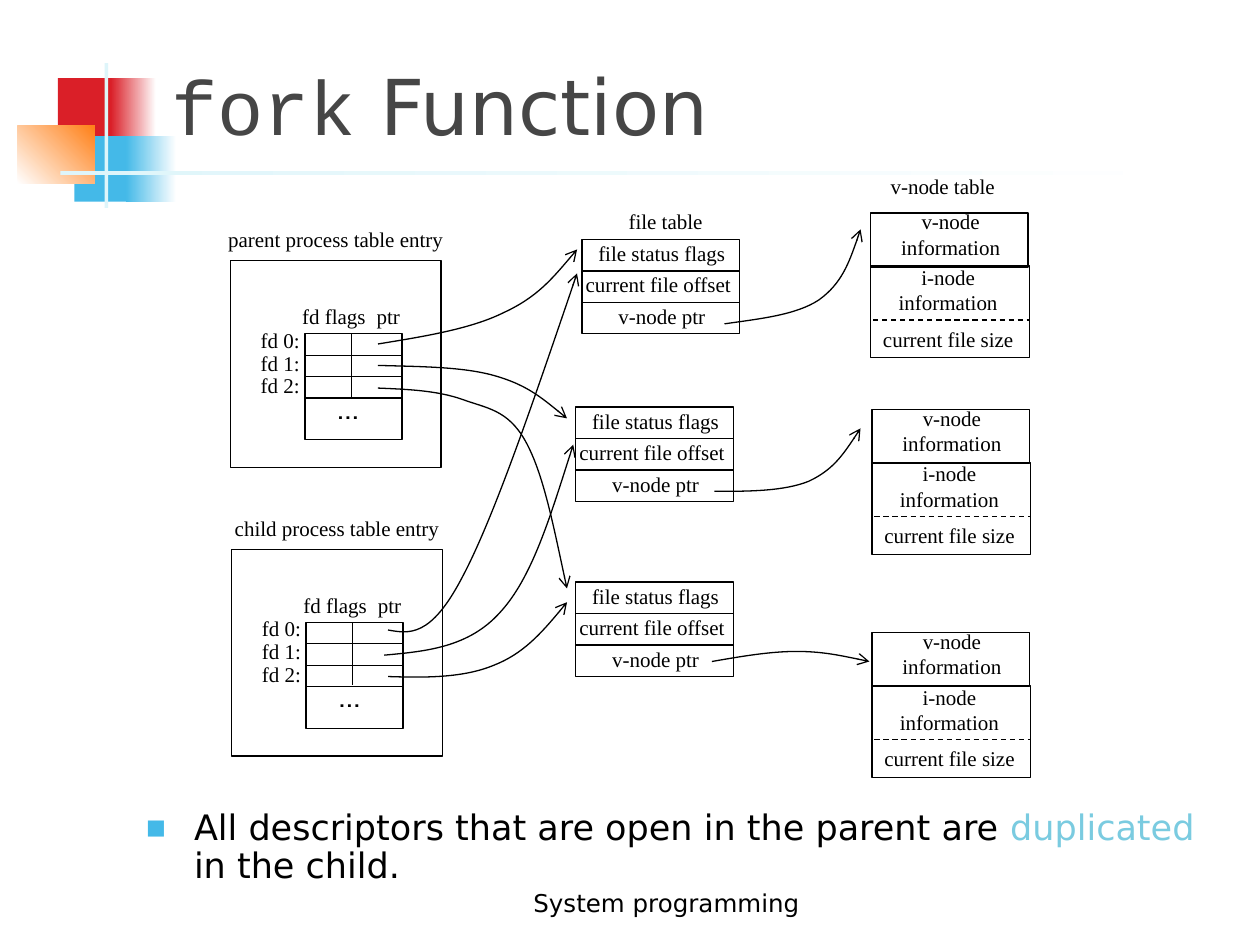
from lxml.etree import SubElement
from pptx import Presentation
from pptx.dml.color import RGBColor
from pptx.enum.dml import MSO_LINE
from pptx.enum.shapes import MSO_CONNECTOR, MSO_SHAPE
from pptx.enum.text import MSO_ANCHOR, MSO_AUTO_SIZE, PP_ALIGN
from pptx.oxml.ns import qn
from pptx.util import Pt

SCALE = 9144
ROW_HEIGHT = 25
SERIF = "Times New Roman"
SANS = "DejaVu Sans"

DECORATION = [
    (46, 62, 48, 52, ["DA1F28"], 0),
    (88, 62, 36, 52, ["DA1F28", "FFFFFF"], 0),
    (59, 108, 46, 52, ["44B9E8"], 0),
    (100, 108, 40, 52, ["44B9E8", "FFFFFF"], 0),
    (14, 100, 61, 46, ["FFFFFF", "FF8119"], 45),
    (83, 50, 3, 115, ["DEF5FA"], 0),
    (48, 136, 900, 3, ["DEF5FA", "FFFFFF"], 0),
]
PROCESSES = [(183, 207, "parent process table entry"), (184, 436, "child process table entry")]
FILE_TABLES = [(462, 190), (457, 323), (457, 462)]
VNODES = [(691, 169), (692, 325), (692, 502)]
POINTERS = [
    [(300, 273), (337, 267), (374, 261), (400, 248), (426, 236), (442, 217), (458, 198)],
    [(300, 290), (333, 291), (367, 291), (392, 298), (417, 305), (433, 318), (450, 332)],
    [(300, 308), (324, 309), (347, 310), (367, 317), (386, 324), (403, 325), (417, 350),
     (431, 375), (440, 421), (450, 467)],
    [(308, 500), (325, 503), (342, 506), (367, 458), (392, 411), (425, 314), (458, 217)],
    [(305, 520), (338, 517), (372, 514), (397, 486), (422, 459), (438, 406), (455, 353)],
    [(308, 537), (338, 538), (368, 538), (392, 528), (415, 519), (433, 499), (450, 478)],
    [(575, 257), (603, 253), (632, 250), (650, 238), (668, 225), (676, 203), (683, 182)],
    [(567, 390), (594, 390), (622, 390), (642, 382), (661, 373), (672, 357), (683, 340)],
    [(565, 525), (588, 521), (611, 517), (632, 517), (652, 517), (671, 521), (690, 525)],
]


def px(length):
    return length * SCALE


def color(value):
    return RGBColor.from_string(value)


def style_font(font, name, size, value="000000"):
    font.name = name
    font.size = Pt(size)
    font.color.rgb = color(value)


def style_line(line):
    line.color.rgb = color("000000")
    line.width = Pt(0.75)


def place(part, left, top, width, height):
    part.left, part.top, part.width, part.height = map(px, (left, top, width, height))


def add_frame(slide, left, top, width, height):
    frame = slide.shapes.add_shape(MSO_SHAPE.RECTANGLE, *map(px, (left, top, width, height)))
    frame.shadow.inherit = False
    frame.fill.background()
    style_line(frame.line)


def add_label(slide, left, top, width, words, height=30, name=SERIF, size=12,
              align=PP_ALIGN.LEFT, tab=None):
    label = slide.shapes.add_textbox(*map(px, (left, top, width, height))).text_frame
    label.word_wrap = False
    label.auto_size = MSO_AUTO_SIZE.SHAPE_TO_FIT_TEXT
    label.text = words
    for paragraph in label.paragraphs:
        paragraph.alignment = align
        if tab:
            stops = SubElement(paragraph._p.get_or_add_pPr(), qn("a:tabLst"))
            SubElement(stops, qn("a:tab"), pos=str(px(tab)), algn="l")
        style_font(paragraph.font, name, size)


def add_rule(slide, x1, y1, x2, y2, dash=None):
    rule = slide.shapes.add_connector(MSO_CONNECTOR.STRAIGHT, *map(px, (x1, y1, x2, y2)))
    SubElement(rule._element.spPr, qn("a:effectLst"))
    style_line(rule.line)
    if dash:
        rule.line.dash_style = dash


def add_pointer(slide, points):
    builder = slide.shapes.build_freeform(*points[0], scale=SCALE)
    builder.add_line_segments(points[1:], close=False)
    pointer = builder.convert_to_shape()
    pointer.shadow.inherit = False
    pointer.fill.background()
    style_line(pointer.line)
    SubElement(pointer.line._get_or_add_ln(), qn("a:tailEnd"), type="arrow")
    segments = list(pointer._element.iter(qn("a:lnTo")))
    outline = segments[0].getparent()
    for start in range(0, len(segments), 3):
        curve = SubElement(outline, qn("a:cubicBezTo"))
        for segment in segments[start:start + 3]:
            curve.append(segment[0])
            outline.remove(segment)


def add_decoration(slide):
    for left, top, width, height, shades, angle in DECORATION:
        block = slide.shapes.add_shape(MSO_SHAPE.RECTANGLE, *map(px, (left, top, width, height)))
        block.shadow.inherit = False
        block.line.fill.background()
        if len(shades) == 1:
            block.fill.solid()
            block.fill.fore_color.rgb = color(shades[0])
            continue
        block.fill.gradient()
        block.fill.gradient_angle = angle
        for stop, shade in zip(block.fill.gradient_stops, shades):
            stop.color.rgb = color(shade)


def add_process(slide, left, top, caption):
    add_frame(slide, left, top, 167, 164)
    add_label(slide, left - 12, top - 32, 191, caption, align=PP_ALIGN.CENTER)
    add_label(slide, left + 47, top + 29, 98, "fd flags\tptr", tab=59)
    for descriptor in range(3):
        add_frame(slide, left + 59, top + 58 + 17 * descriptor, 77, 17)
        add_label(slide, left + 14, top + 48 + 18 * descriptor, 51, f"fd {descriptor}:")
    add_frame(slide, left + 59, top + 109, 77, 33)
    add_rule(slide, left + 96, top + 58, left + 96, top + 108)
    add_label(slide, left + 75, top + 96, 41, "…", height=40, name="Cabin", size=18)


def add_file_table(slide, left, top):
    fields = [("file status flags", 3, 121), ("current file offset", -7, 136), ("v-node ptr", 19, 89)]
    for row, (field, indent, width) in enumerate(fields):
        row_top = top + ROW_HEIGHT * row
        add_frame(slide, left, row_top, 125, ROW_HEIGHT)
        add_label(slide, left + indent, row_top - 4, width, field)


def add_vnode(slide, left, top):
    add_frame(slide, left, top, 125, 43)
    add_frame(slide, left, top + 42, 126, 73)
    for node, indent, drop in [("v-node", 14, -8), ("i-node", 12, 36)]:
        add_label(slide, left + indent, top + drop, 99, f"{node}\ninformation",
                  height=50, align=PP_ALIGN.CENTER)
    add_label(slide, left, top + 85, 124, "current file size")
    add_rule(slide, left + 2, top + 85, left + 126, top + 85, MSO_LINE.DASH)


def fill_title(title):
    place(title, 126, 23, 852, 102)
    title.text_frame.vertical_anchor = MSO_ANCHOR.BOTTOM
    title.text_frame.auto_size = MSO_AUTO_SIZE.NONE
    heading = title.text_frame.paragraphs[0]
    heading.alignment = PP_ALIGN.LEFT
    style_font(heading.font, SANS, 44, "464646")
    for words, name in [("fork", "Courier New"), (" Function", SANS)]:
        run = heading.add_run()
        run.text = words
        run.font.name = name


def fill_body(body):
    place(body, 106, 638, 853, 83)
    body.text_frame.auto_size = MSO_AUTO_SIZE.NONE
    point = body.text_frame.paragraphs[0]
    point.line_spacing = 0.9
    point.space_before = Pt(0)
    properties = point._p.get_or_add_pPr()
    properties.set("marL", str(px(38)))
    properties.set("indent", str(px(-38)))
    bullet_color = SubElement(properties, qn("a:buClr"))
    SubElement(bullet_color, qn("a:srgbClr"), val="44B9E8")
    SubElement(properties, qn("a:buSzPct"), val="60000")
    SubElement(properties, qn("a:buFont"), typeface=SANS)
    SubElement(properties, qn("a:buChar"), char="■")
    style_font(point.font, SANS, 20)
    for words, shade in [("All descriptors that are open in the parent are ", "000000"),
                         ("duplicated ", "7ACBE0"), ("in the child.", "000000")]:
        run = point.add_run()
        run.text = words
        run.font.color.rgb = color(shade)


def add_footer(slide, left, top, width, height):
    footer = slide.shapes.add_textbox(*map(px, (left, top, width, height))).text_frame
    footer.word_wrap = True
    footer.vertical_anchor = MSO_ANCHOR.BOTTOM
    footer.text = "System programming"
    footer.paragraphs[0].alignment = PP_ALIGN.CENTER
    style_font(footer.paragraphs[0].font, SANS, 14)


def main():
    deck = Presentation()
    deck.slide_width, deck.slide_height = px(1000), px(750)
    slide = deck.slides.add_slide(deck.slide_layouts[1])
    add_decoration(slide)
    add_footer(slide, 350, 683, 358, 50)
    fill_title(slide.shapes.title)
    fill_body(slide.placeholders[1])
    for left, top, caption in PROCESSES:
        add_process(slide, left, top, caption)
    add_label(slide, 489, 161, 79, "file table")
    for left, top in FILE_TABLES:
        add_file_table(slide, left, top)
    add_label(slide, 697, 133, 103, "v-node table")
    for left, top in VNODES:
        add_vnode(slide, left, top)
    for points in POINTERS:
        add_pointer(slide, points)
    deck.save("out.pptx")


if __name__ == "__main__":
    main()
